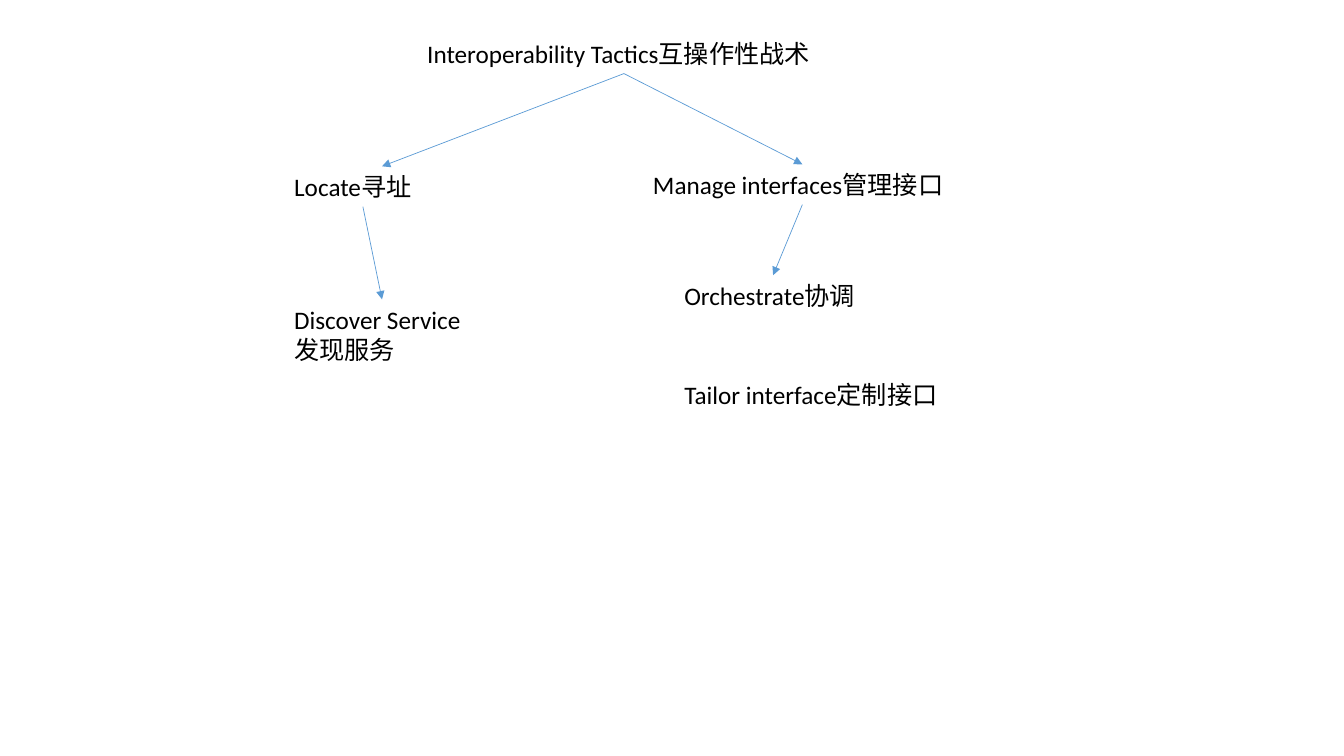
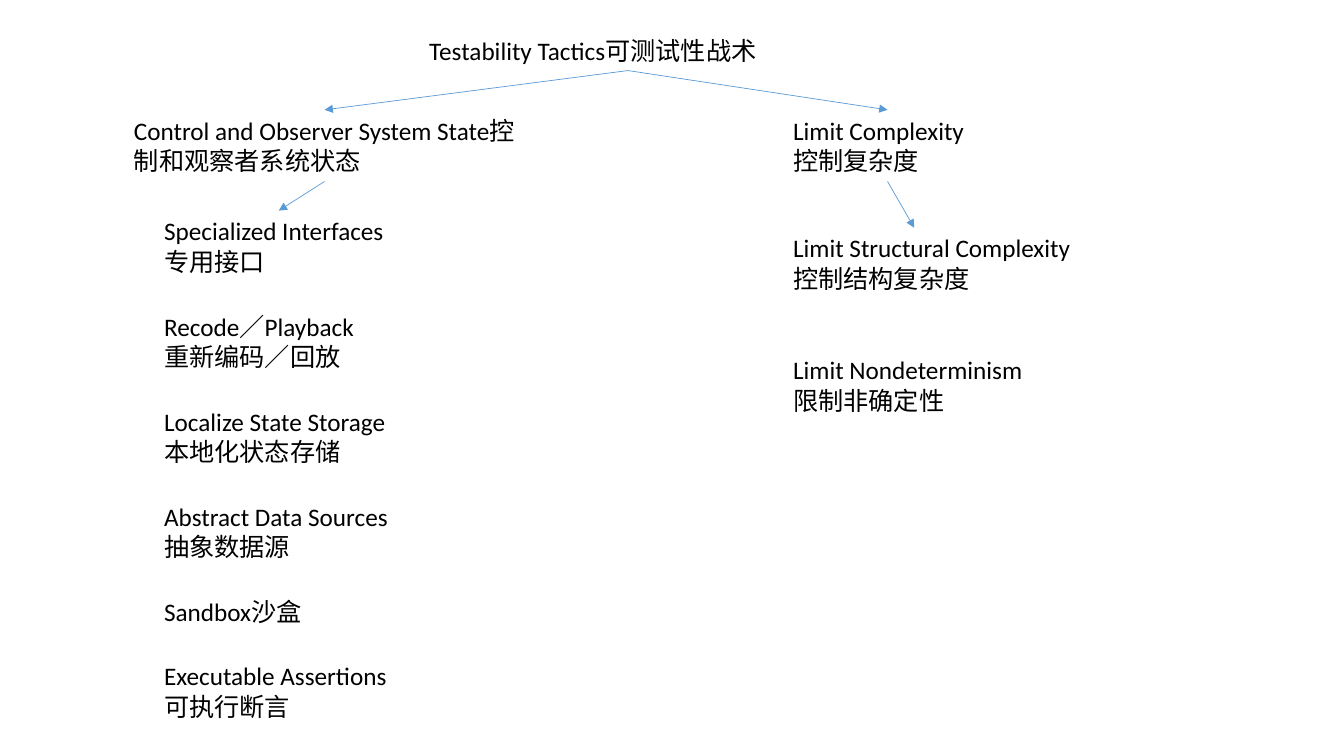
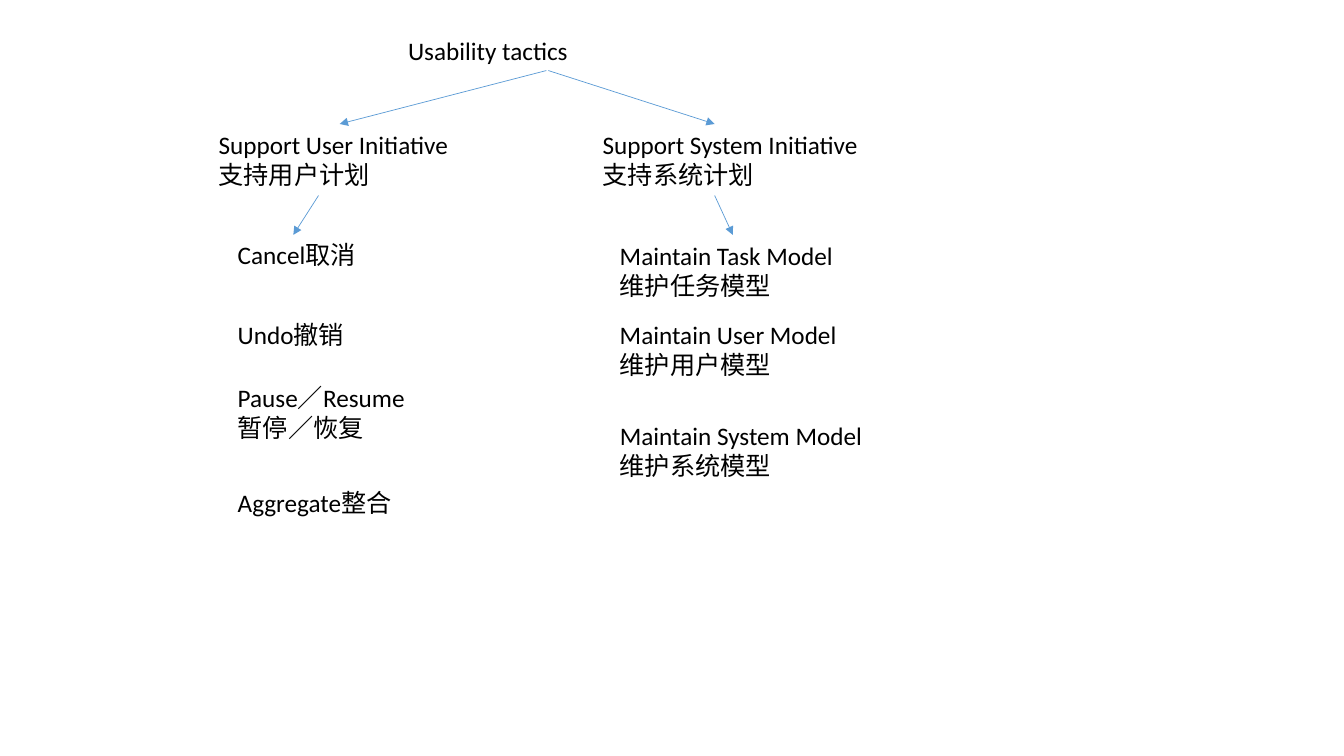
from dataclasses import dataclass

from lxml import etree
from pptx import Presentation
from pptx.dml.color import RGBColor
from pptx.enum.shapes import MSO_CONNECTOR
from pptx.enum.text import MSO_AUTO_SIZE
from pptx.oxml.ns import qn
from pptx.util import Inches, Pt

STRAIGHT = MSO_CONNECTOR.STRAIGHT
GROW = MSO_AUTO_SIZE.SHAPE_TO_FIT_TEXT
TOP_SIDE, BOTTOM_SIDE = 0, 2

CELL = Inches(0.1)
SLIDE_COLUMNS, SLIDE_ROWS = 133.33, 75
LINE_ROWS = {1: 4, 2: 7.1}
EVEN_GAP = 2.35
FONT_NAME = "Calibri"
FONT_SIZE = Pt(18)
COLORS = {"text": "000000", "arrow": "5B9BD5"}
BLANK_LAYOUT = 6


@dataclass(frozen=True)
class Topic:
    text: str
    width: float
    lines: int = 2
    gap: float = 0


@dataclass(frozen=True)
class Placed:
    topic: Topic
    left: float
    top: float


@dataclass(frozen=True)
class Shifts:
    title_bottom: float = 0
    head_top: float = 0
    head_bottom: float = 0
    child_top: float = 0


@dataclass(frozen=True)
class Branch:
    head: Placed
    child_left: float
    child_top: float
    children: tuple[Topic, ...]
    shifts: Shifts = Shifts()


@dataclass(frozen=True)
class Tree:
    title: Placed
    branches: tuple[Branch, ...]


TREES = (
    Tree(
        Placed(Topic("Interoperability Tactics互操作性战术", 41, 1), 41.4, 3.3),
        (
            Branch(
                Placed(Topic("Locate寻址", 21.2, 1), 28.2, 16.5),
                28.2, 29.7,
                (Topic("Discover Service发现服务", 19.4),),
                Shifts(head_top=-0.9, head_bottom=-2.8),
            ),
            Branch(
                Placed(Topic("Manage interfaces管理接口", 31.6, 1), 63.8, 16.3),
                66.9, 27.3,
                (
                    Topic("Orchestrate协调", 37.6, 1),
                    Topic("Tailor interface定制接口", 28.2, 1, 5.8),
                ),
                Shifts(child_top=-9),
            ),
        ),
    ),
    Tree(
        Placed(Topic("Testability Tactics可测试性战术", 41.4, 1), 41.6, 3),
        (
            Branch(
                Placed(Topic("Control and Observer System State控制和观察者系统状态", 39.8),
                       12.3, 10.9),
                15.3, 20.9,
                (
                    Topic("Specialized Interfaces专用接口", 24.7),
                    Topic("Recode／Playback重新编码／回放", 22.1, gap=EVEN_GAP),
                    Topic("Localize State Storage本地化状态存储", 24.7, gap=EVEN_GAP),
                    Topic("Abstract Data Sources抽象数据源", 26.3, gap=EVEN_GAP),
                    Topic("Sandbox沙盒", 24.7, 1, EVEN_GAP),
                    Topic("Executable Assertions可执行断言", 26.3, gap=EVEN_GAP),
                ),
            ),
            Branch(
                Placed(Topic("Limit Complexity控制复杂度", 20.7), 77.7, 10.9),
                77.7, 22.6,
                (
                    Topic("Limit Structural Complexity控制结构复杂度", 30.5),
                    Topic("Limit Nondeterminism限制非确定性", 26, gap=5),
                ),
                Shifts(child_top=-2.25),
            ),
        ),
    ),
    Tree(
        Placed(Topic("Usability tactics", 45.3, 1), 39.5, 3),
        (
            Branch(
                Placed(Topic("Support User Initiative支持用户计划", 26), 20.7, 12.3),
                22.6, 23.3,
                (
                    Topic("Cancel取消", 17, 1),
                    Topic("Undo撤销", 17, 1, 3.9),
                    Topic("Pause／Resume暂停／恢复", 19.1, gap=2.2),
                    Topic("Aggregate整合", 24.2, 1, 3.4),
                ),
                Shifts(title_bottom=-7.95, head_bottom=-2.1, child_top=-2),
            ),
            Branch(
                Placed(Topic("Support System Initiative支持系统计划", 28.1), 58.8, 12.3),
                60.5, 23.3,
                (
                    Topic("Maintain Task Model维护任务模型", 24.4),
                    Topic("Maintain User Model维护用户模型", 24.4, gap=0.8),
                    Topic("Maintain System Model维护系统模型", 26.5, gap=2.9),
                ),
                Shifts(title_bottom=-7.75, head_top=-1.95, head_bottom=-1.95),
            ),
        ),
    ),
)


def cells(count: float) -> int:
    return round(count * CELL)


def draw_topic(slide, placed: Placed):
    topic = placed.topic
    shape = slide.shapes.add_textbox(
        cells(placed.left), cells(placed.top),
        cells(topic.width), cells(LINE_ROWS[topic.lines]),
    )
    frame = shape.text_frame
    frame.word_wrap = True
    frame.auto_size = GROW
    paragraph = frame.paragraphs[0]
    paragraph.text = topic.text
    paragraph.font.name = FONT_NAME
    paragraph.font.size = FONT_SIZE
    paragraph.font.color.rgb = RGBColor.from_string(COLORS["text"])
    return shape


def draw_arrow(slide, upper, lower, upper_shift: float, lower_shift: float) -> None:
    connector = slide.shapes.add_connector(
        STRAIGHT,
        upper.left + upper.width // 2 + cells(upper_shift), upper.top + upper.height,
        lower.left + lower.width // 2 + cells(lower_shift), lower.top,
    )
    if upper_shift == 0:
        connector.begin_connect(upper, BOTTOM_SIDE)
    if lower_shift == 0:
        connector.end_connect(lower, TOP_SIDE)
    connector.line.color.rgb = RGBColor.from_string(COLORS["arrow"])
    connector.line.width = Pt(0.5)
    line = connector.line._get_or_add_ln()
    etree.SubElement(line, qn("a:tailEnd"), type="triangle")
    etree.SubElement(connector._element.spPr, qn("a:effectLst"))


def draw_children(slide, branch: Branch) -> list:
    shapes = []
    top = branch.child_top
    for topic in branch.children:
        top += topic.gap
        shapes.append(draw_topic(slide, Placed(topic, branch.child_left, top)))
        top += LINE_ROWS[topic.lines]
    return shapes


def draw_tree(slide, tree: Tree) -> None:
    title = draw_topic(slide, tree.title)
    for branch in tree.branches:
        head = draw_topic(slide, branch.head)
        children = draw_children(slide, branch)
        shifts = branch.shifts
        draw_arrow(slide, title, head, shifts.title_bottom, shifts.head_top)
        draw_arrow(slide, head, children[0], shifts.head_bottom, shifts.child_top)


def main() -> None:
    presentation = Presentation()
    presentation.slide_width = cells(SLIDE_COLUMNS)
    presentation.slide_height = cells(SLIDE_ROWS)
    for tree in TREES:
        slide = presentation.slides.add_slide(presentation.slide_layouts[BLANK_LAYOUT])
        draw_tree(slide, tree)
    presentation.save("out.pptx")


if __name__ == "__main__":
    main()
